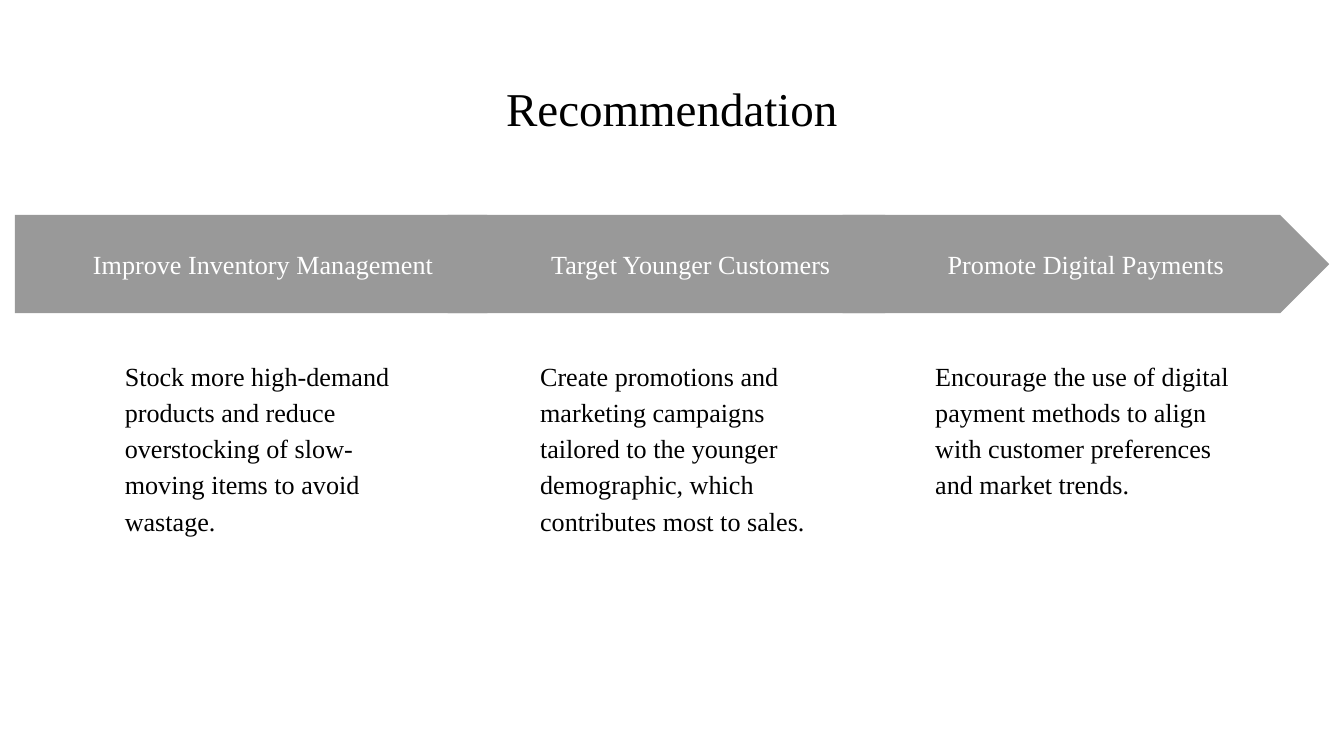
from pptx import Presentation
from pptx.dml.color import RGBColor
from pptx.enum import shapes, text
from pptx.util import Inches, Pt

FONT = "Times New Roman"
BLACK, WHITE, GREY = "000000", "FFFFFF", "999999"
BANNER_TOP, BANNER_HEIGHT = 1.6, 0.73
DETAIL_TOP, DETAIL_WIDTH, DETAIL_HEIGHT = 2.55, 2.45, 2.86

# banner shape, banner left, banner width, detail left, heading, detail; back to front
RECOMMENDATIONS = [
    (shapes.MSO_SHAPE.CHEVRON, 6.27, 3.62, 6.86, "Promote Digital Payments",
     "Encourage the use of digital payment methods to align with customer "
     "preferences and market trends."),
    (shapes.MSO_SHAPE.PENTAGON, 0.11, 3.88, 0.83, "Improve Inventory Management",
     "Stock more high-demand products and reduce overstocking of slow-moving "
     "items to avoid wastage."),
    (shapes.MSO_SHAPE.CHEVRON, 3.33, 3.62, 3.92, "Target Younger Customers",
     "Create promotions and marketing campaigns tailored to the younger "
     "demographic, which contributes most to sales."),
]


def color(hex_code):
    return RGBColor.from_string(hex_code)


def box(left, top, width, height):
    return [Inches(value) for value in (left, top, width, height)]


def write(shape, words, size=14, ink=BLACK, align=text.PP_ALIGN.LEFT,
          anchor=text.MSO_ANCHOR.TOP, spacing=1.0):
    frame = shape.text_frame
    frame.word_wrap = True
    frame.auto_size = text.MSO_AUTO_SIZE.NONE
    frame.vertical_anchor = anchor
    frame.margin_left = frame.margin_right = Inches(0.1)
    frame.margin_top = frame.margin_bottom = Inches(0.1)
    paragraph = frame.paragraphs[0]
    paragraph.alignment = align
    paragraph.line_spacing = spacing
    paragraph.space_before = Pt(0)
    run = paragraph.add_run()
    run.text = words
    run.font.name = FONT
    run.font.size = Pt(size)
    run.font.color.rgb = color(ink)


def add_title(slide, words):
    title = slide.shapes.title
    title.left, title.top, title.width, title.height = box(0.34, 0.49, 9.32, 0.63)
    write(title, words, size=25.2, align=text.PP_ALIGN.CENTER)


def add_banner(group, kind, left, width, heading):
    banner = group.shapes.add_shape(
        kind, *box(left, BANNER_TOP, width, BANNER_HEIGHT))
    banner.adjustments[0] = 0.5
    banner.shadow.inherit = False
    banner.fill.solid()
    banner.fill.fore_color.rgb = color(GREY)
    banner.line.fill.background()
    write(banner, heading, ink=WHITE, align=text.PP_ALIGN.CENTER,
          anchor=text.MSO_ANCHOR.MIDDLE)


def add_detail(group, left, words):
    detail = group.shapes.add_textbox(
        *box(left, DETAIL_TOP, DETAIL_WIDTH, DETAIL_HEIGHT))
    write(detail, words, spacing=1.15)


def main():
    deck = Presentation()
    deck.slide_width = Inches(10)
    deck.slide_height = Inches(10 * 9 / 16)
    slide = deck.slides.add_slide(deck.slide_layouts[5])
    slide.background.fill.solid()
    slide.background.fill.fore_color.rgb = color(WHITE)
    add_title(slide, "Recommendation")
    for kind, left, width, detail_left, heading, words in RECOMMENDATIONS:
        group = slide.shapes.add_group_shape()
        add_banner(group, kind, left, width, heading)
        add_detail(group, detail_left, words)
    deck.save("out.pptx")


if __name__ == "__main__":
    main()
